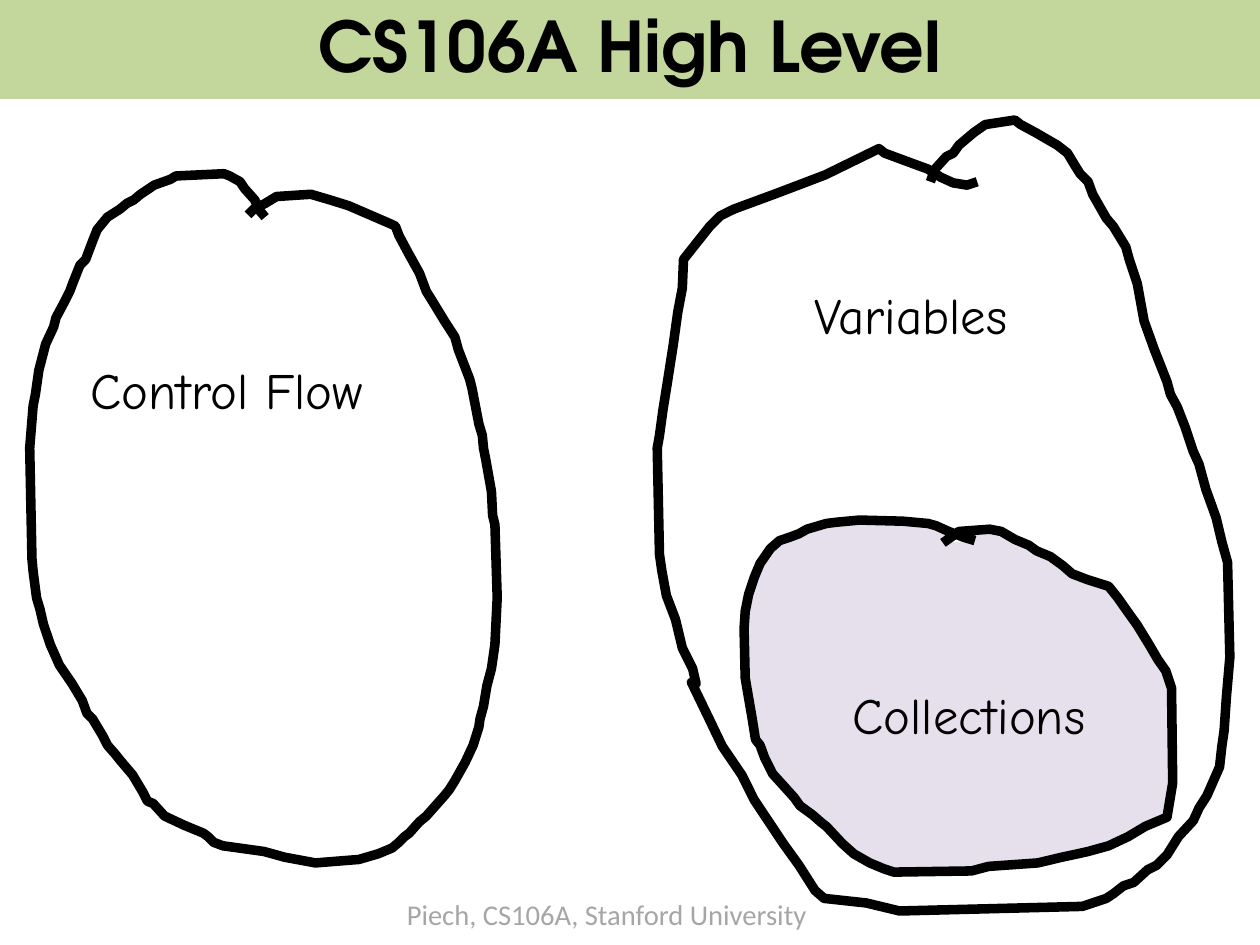
import pptx
import pptx.dml.color
import pptx.enum.text
import pptx.util
from pptx.util import Cm

# Content
TITLE = "CS106A High Level"
CREDIT = "Piech, CS106A, Stanford University"

# Hand-drawn outlines, as points in hundredths of an inch
CONTROL_FLOW = [
    (232, 190), (226, 183), (223, 175), (214, 165), (210, 159), (201, 154), (196, 152),
    (154, 154), (149, 157), (135, 162), (123, 170), (117, 175), (111, 178), (105, 183),
    (94, 190), (85, 201), (81, 211), (75, 227), (70, 232), (64, 247), (61, 255), (57, 263),
    (49, 278), (47, 286), (40, 301), (34, 324), (31, 345), (29, 355), (26, 392), (28, 489),
    (29, 500), (32, 523), (35, 533), (38, 546), (44, 564), (52, 582), (63, 598), (72, 613),
    (76, 624), (81, 629), (90, 644), (94, 652), (101, 660), (105, 665), (116, 678),
    (125, 693), (129, 701), (134, 703), (144, 714), (161, 722), (178, 729), (182, 732),
    (187, 737), (195, 740), (231, 745), (249, 750), (276, 755), (314, 752), (331, 747),
    (343, 742), (349, 737), (354, 732), (358, 729), (367, 719), (373, 714), (389, 696),
    (393, 691), (398, 683), (407, 667), (414, 652), (419, 636), (420, 629), (423, 618),
    (426, 600), (430, 585), (433, 564), (435, 523), (433, 459), (431, 451), (430, 430),
    (425, 402), (423, 392), (422, 381), (419, 371), (413, 340), (411, 332), (401, 306),
    (398, 295), (389, 281), (378, 263), (373, 255), (367, 239), (357, 221), (349, 206),
    (346, 198), (342, 196), (305, 180), (289, 175), (272, 170), (242, 172), (232, 178),
    (222, 183), (217, 188),
]
VARIABLES = [
    (855, 159), (846, 162), (834, 160), (823, 155), (812, 148), (801, 144), (774, 134),
    (769, 130), (722, 153), (680, 169), (642, 183), (630, 189), (621, 198), (598, 227),
    (597, 252), (593, 273), (589, 302), (584, 334), (580, 359), (577, 381), (575, 392),
    (577, 485), (579, 499), (583, 521), (591, 542), (597, 567), (606, 585), (609, 598),
    (605, 597), (620, 628), (632, 653), (649, 678), (660, 700), (686, 739), (699, 757),
    (713, 779), (721, 786), (758, 790), (787, 797), (947, 793), (968, 786), (974, 782),
    (983, 775), (992, 772), (1004, 761), (1012, 757), (1021, 748), (1031, 732), (1044, 718),
    (1049, 707), (1056, 696), (1067, 671), (1069, 653), (1071, 639), (1073, 610),
    (1076, 575), (1074, 492), (1069, 474), (1064, 453), (1055, 428), (1049, 406),
    (1044, 395), (1037, 374), (1030, 356), (1024, 345), (1021, 334), (1010, 306),
    (1001, 281), (997, 259), (995, 248), (988, 227), (985, 216), (974, 198), (968, 191),
    (956, 170), (952, 159), (945, 152), (940, 144), (934, 134), (925, 127), (906, 116),
    (893, 109), (888, 105), (862, 109), (852, 116), (839, 127), (834, 134), (828, 137),
    (818, 148), (814, 159),
]
COLLECTIONS = [
    (853, 473), (843, 470), (830, 465), (819, 460), (812, 458), (790, 456), (752, 455),
    (731, 457), (723, 458), (706, 463), (699, 467), (691, 470), (682, 473), (674, 480),
    (665, 493), (660, 505), (655, 520), (652, 535), (651, 550), (652, 593), (654, 605),
    (658, 628), (661, 647), (665, 652), (669, 663), (676, 677), (686, 688), (695, 698),
    (700, 705), (711, 713), (719, 720), (723, 723), (737, 738), (747, 747), (761, 755),
    (773, 760), (782, 763), (850, 762), (865, 758), (908, 755), (929, 750), (943, 747),
    (952, 745), (970, 740), (987, 732), (1002, 723), (1021, 715), (1024, 697), (1026, 685),
    (1025, 602), (1020, 587), (1013, 577), (1006, 565), (995, 547), (985, 533), (978, 523),
    (970, 513), (951, 507), (938, 502), (930, 495), (919, 487), (907, 482), (900, 477),
    (888, 472), (876, 465), (866, 463), (839, 465), (832, 470), (825, 475),
]

THEME = {
    "banner": "C3D69B", "ink": "000000", "muted": "A6A6A6",
    "paper": "FFFFFF", "lilac": "E6E0EC",
    "title_size": 44, "label_size": 32, "credit_size": 18, "stroke": 6,
    "title_font": "TeX Gyre Adventor", "label_font": "Comic Neue", "credit_font": "Calibri",
}

# Each topic: label, outline, fill, label box (left, top, width) in cm
TOPICS = [
    ("Control Flow", CONTROL_FLOW, "paper", (1.73, 7.95, 6.91)),
    ("Variables", VARIABLES, "paper", (17.81, 6.27, 5.16)),
    ("Collections", COLLECTIONS, "lilac", (18.67, 15.16, 5.94)),
]


def colour(role):
    return pptx.dml.color.RGBColor.from_string(THEME[role])


def write(frame, text, *, style, ink="ink", bold=False, align="LEFT", wrap=False):
    frame.margin_left = frame.margin_right = Cm(0.28)
    frame.margin_top = frame.margin_bottom = Cm(0.15)
    frame.word_wrap = wrap
    line = frame.paragraphs[0]
    line.alignment = getattr(pptx.enum.text.PP_ALIGN, align)
    line.line_spacing = 0.93
    run = line.add_run()
    run.text = text
    run.font.name = THEME[style + "_font"]
    run.font.size = pptx.util.Pt(THEME[style + "_size"])
    run.font.bold = bold
    run.font.color.rgb = colour(ink)


def draw_outline(slide, points, fill):
    pen = slide.shapes.build_freeform(*points[0], scale=Cm(0.0254))
    pen.add_line_segments(points[1:], close=False)
    outline = pen.convert_to_shape()
    outline.shadow.inherit = False
    outline.fill.solid()
    outline.fill.fore_color.rgb = colour(fill)
    outline.line.color.rgb = colour("ink")
    outline.line.width = pptx.util.Pt(THEME["stroke"])


def add_label(slide, text, box, height, **fmt):
    left, top, width = box
    label = slide.shapes.add_textbox(Cm(left), Cm(top), Cm(width), Cm(height))
    write(label.text_frame, text, **fmt)
    label.text_frame.auto_size = pptx.enum.text.MSO_AUTO_SIZE.SHAPE_TO_FIT_TEXT


def main():
    deck = pptx.Presentation()
    deck.slide_width, deck.slide_height = Cm(28), Cm(21)
    slide = deck.slides.add_slide(deck.slide_layouts[5])

    # Title banner
    banner = slide.shapes.title
    banner.left, banner.top = Cm(0), Cm(0)
    banner.width, banner.height = deck.slide_width, Cm(2.2)
    banner.fill.solid()
    banner.fill.fore_color.rgb = colour("banner")
    write(banner.text_frame, TITLE, style="title", bold=True, align="CENTER", wrap=True)
    banner.text_frame.auto_size = pptx.enum.text.MSO_AUTO_SIZE.NONE
    banner.text_frame.vertical_anchor = pptx.enum.text.MSO_ANCHOR.MIDDLE

    # Credit line
    add_label(slide, CREDIT, (8.76, 19.86, 9.5), 0.97, style="credit", ink="muted")

    # Outlines, then their labels on top
    for _, points, fill, _ in TOPICS:
        draw_outline(slide, points, fill)
    for text, _, _, box in TOPICS:
        add_label(slide, text, box, 1.52, style="label")

    deck.save("out.pptx")


if __name__ == "__main__":
    main()
